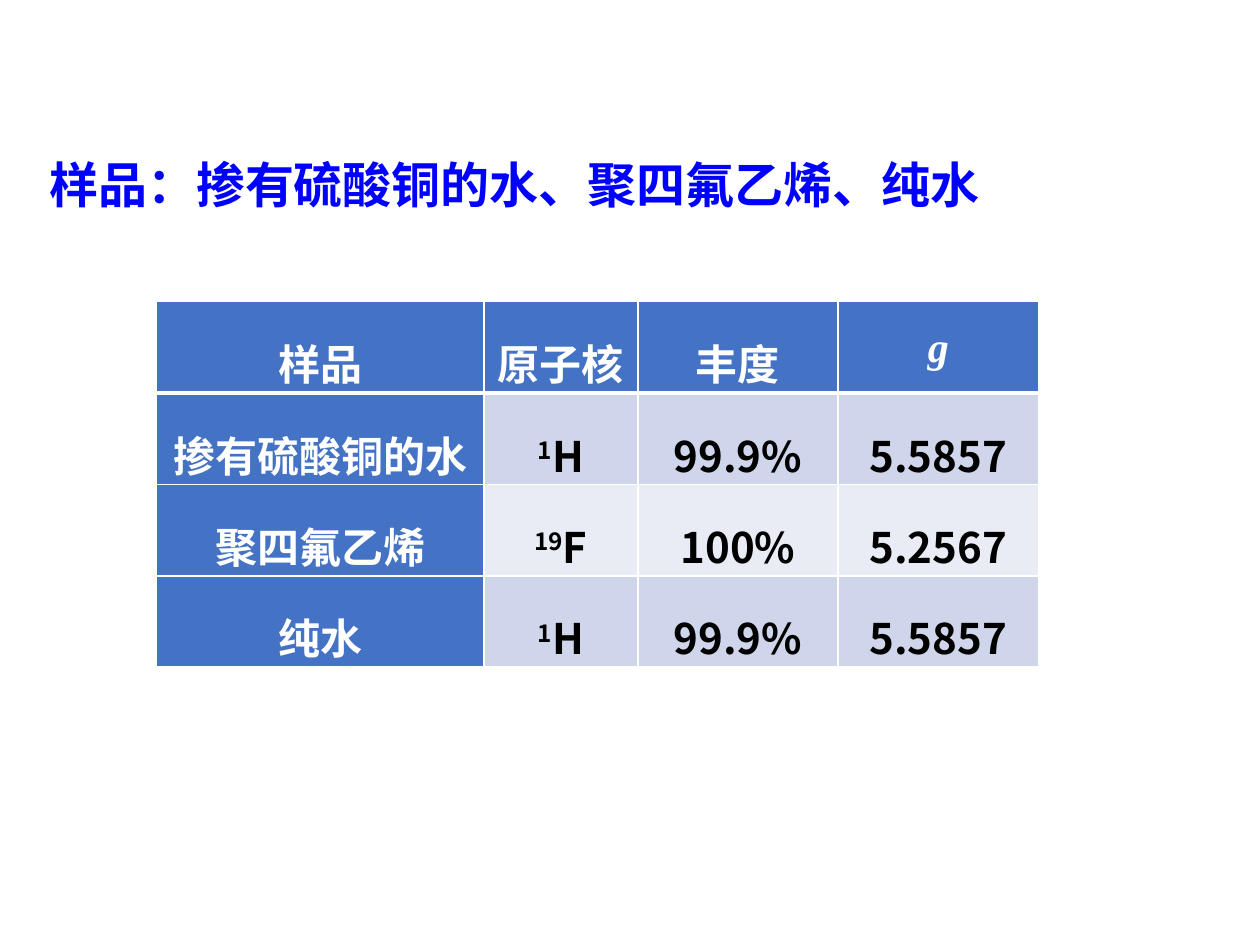
from lxml import etree
from pptx import Presentation
from pptx.dml.color import RGBColor
from pptx.enum import text
from pptx.oxml.ns import qn
from pptx.util import Pt

COLORS = {"title": "0000FF", "head": "4472C4", "band1": "CFD5EA",
          "band2": "E9EBF5", "white": "FFFFFF", "black": "000000"}
SANS, SERIF = "Noto Sans CJK SC", "Times New Roman"


def rgb(name):
    return RGBColor.from_string(COLORS[name])


def add_text(p, content, *, size=24, color="black", font=SANS, italic=False, raised=False):
    r = p.add_run()
    r.text = content
    f = r.font
    f.size, f.bold, f.italic, f.name = Pt(size), True, italic, font
    f.color.rgb = rgb(color)
    rPr = r._r.get_or_add_rPr()
    etree.SubElement(rPr, qn("a:ea"), typeface=font)
    if raised:
        rPr.set("baseline", "30000")


def set_borders(cell, widths, color="white"):
    """Draw cell edges; widths maps L, R, T and B to points."""
    tcPr = cell._tc.get_or_add_tcPr()
    for side, width in widths.items():
        ln = etree.SubElement(tcPr, qn(f"a:ln{side}"), w=str(Pt(width)))
        fill = etree.SubElement(ln, qn("a:solidFill"))
        etree.SubElement(fill, qn("a:srgbClr"), val=COLORS[color])


class Deck:
    def __init__(self, width, height):
        self.prs = Presentation()
        self.prs.slide_width, self.prs.slide_height = Pt(width), Pt(height)
        self.s = self.prs.slides.add_slide(self.prs.slide_layouts[5])

    def title(self, content, left, top, width, height):
        sp = self.s.shapes.title
        sp.left, sp.top, sp.width, sp.height = map(Pt, (left, top, width, height))
        tf = sp.text_frame
        tf.word_wrap = True
        tf.auto_size = text.MSO_AUTO_SIZE.NONE
        tf.vertical_anchor = text.MSO_ANCHOR.TOP
        p = tf.paragraphs[0]
        p.alignment = text.PP_ALIGN.LEFT
        add_text(p, content, size=28, color="title")

    def table(self, rows, left, top, col_widths, row_height):
        tbl = self.s.shapes.add_table(
            len(rows), len(col_widths), Pt(left), Pt(top),
            Pt(sum(col_widths)), Pt(row_height * len(rows))).table
        tbl.first_col = True
        for col, width in zip(tbl.columns, col_widths):
            col.width = Pt(width)
        for i, row in enumerate(rows):
            tbl.rows[i].height = Pt(row_height)
            for j, runs in enumerate(row):
                self.cell(tbl.cell(i, j), runs, i, j)

    def cell(self, cell, runs, i, j):
        is_head = i == 0 or j == 0
        set_borders(cell, {"L": 1, "R": 1, "T": 3 if i == 1 else 1, "B": 3 if i == 0 else 1})
        cell.fill.solid()
        cell.fill.fore_color.rgb = rgb("head" if is_head else "band1" if i % 2 else "band2")
        cell.margin_left = cell.margin_right = Pt(5.4)
        cell.margin_top = cell.margin_bottom = 0
        p = cell.text_frame.paragraphs[0]
        p.alignment = text.PP_ALIGN.CENTER
        p.line_spacing = 1.5
        for content, style in runs:
            add_text(p, content, color="white" if is_head else "black", **style)


def plain(content):
    return [(content, {})]


def sample_row(sample, mass, element, abundance, g_factor):
    nucleus = [(mass, {"raised": True}), (element, {})]
    return [plain(sample), nucleus, plain(abundance), plain(g_factor)]


def main():
    deck = Deck(720, 540)
    header = [plain(name) for name in ("样品", "原子核", "丰度")]
    header.append([("g", {"font": SERIF, "italic": True})])
    deck.table([
        header,
        sample_row("掺有硫酸铜的水", "1", "H", "99.9%", "5.5857"),
        sample_row("聚四氟乙烯", "19", "F", "100%", "5.2567"),
        sample_row("纯水", "1", "H", "99.9%", "5.5857"),
    ], 89.5, 172.3, [187, 88, 114.5, 114.5], 47.2)
    deck.title("样品：掺有硫酸铜的水、聚四氟乙烯、纯水", 21, 84.5, 562, 44)
    deck.prs.save("out.pptx")


if __name__ == "__main__":
    main()
